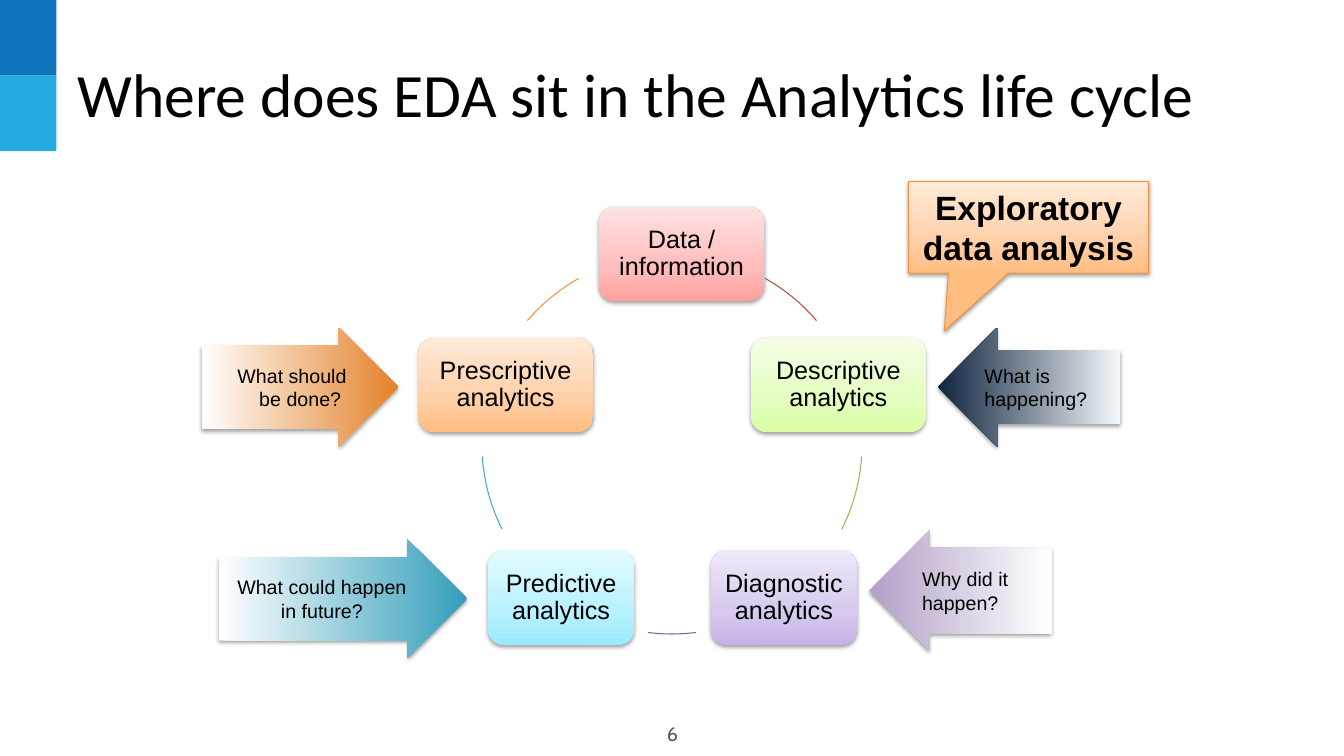
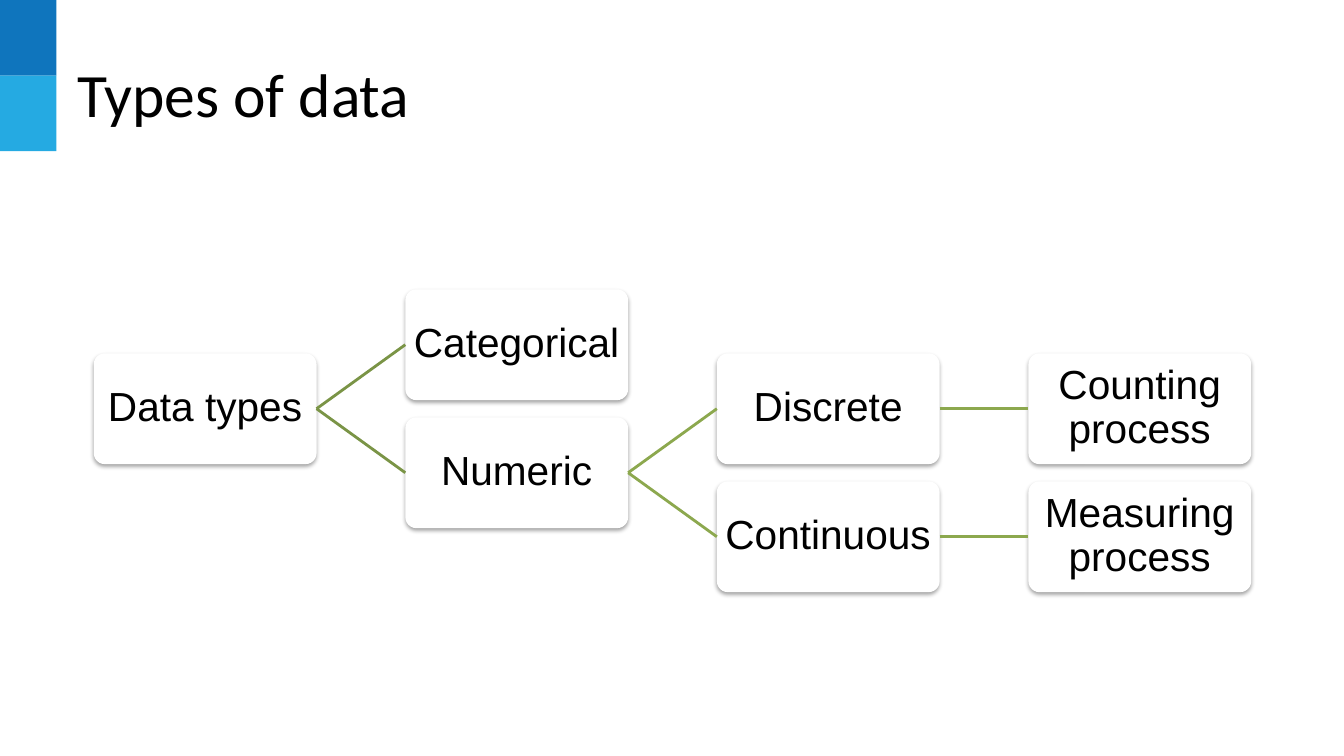
from lxml.etree import SubElement
from pptx import Presentation
from pptx.dml.color import RGBColor
from pptx.enum.shapes import MSO_CONNECTOR, MSO_SHAPE
from pptx.enum.text import MSO_ANCHOR as ANCHOR, PP_ALIGN as ALIGN
from pptx.oxml.ns import qn
from pptx.util import Inches, Pt

BLACK = RGBColor(0x00, 0x00, 0x00)
WHITE = RGBColor(0xFF, 0xFF, 0xFF)
GREY = RGBColor(0x59, 0x59, 0x59)
BLUE = RGBColor(0x0F, 0x75, 0xBD)
SKY = RGBColor(0x25, 0xAA, 0xE2)
ORANGE = RGBColor(0xF5, 0x91, 0x3F)
RED_ARC = RGBColor(0xBC, 0x4B, 0x48)
GREEN_ARC = RGBColor(0x97, 0xB8, 0x53)
PURPLE_ARC = RGBColor(0x7C, 0x5F, 0x9F)
TEAL_ARC = RGBColor(0x43, 0xA9, 0xC3)
OLIVE = RGBColor(0x7A, 0x94, 0x46)
MOSS = RGBColor(0x8C, 0xA8, 0x4E)
NAVY = RGBColor(0x0F, 0x24, 0x3E)
ICE = RGBColor(0xF4, 0xF8, 0xFB)
LILAC = RGBColor(0xB2, 0xA0, 0xC7)
TEAL = RGBColor(0x34, 0x9E, 0xBA)
AMBER = RGBColor(0xE3, 0x82, 0x29)

# Gradient colours from bottom to top
REDS = (RGBColor(0xFF, 0xA0, 0x9D), RGBColor(0xFF, 0xBC, 0xBC), RGBColor(0xFF, 0xE2, 0xE2))
GREENS = (RGBColor(0xDA, 0xFE, 0xA4), RGBColor(0xE3, 0xFE, 0xBF), RGBColor(0xF4, 0xFE, 0xE6))
PURPLES = (RGBColor(0xC8, 0xB2, 0xE9), RGBColor(0xD6, 0xCA, 0xED), RGBColor(0xEF, 0xE8, 0xFA))
TEALS = (RGBColor(0x99, 0xEA, 0xFF), RGBColor(0xB8, 0xF1, 0xFF), RGBColor(0xE2, 0xFB, 0xFF))
ORANGES = (RGBColor(0xFF, 0xBD, 0x80), RGBColor(0xFF, 0xCF, 0xA8), RGBColor(0xFF, 0xEB, 0xD9))


def draw(s, kind, at, fill=None, line=None, shadow=False, adj=()):
    """Add a preset shape; fill is a colour, or 2 (left to right) or 3 (upward) gradient colours."""
    sp = s.shapes.add_shape(kind, *map(Inches, at))
    for i, value in enumerate(adj):
        sp.adjustments[i] = value
    if fill is None:
        sp.fill.background()
    elif isinstance(fill, RGBColor):
        sp.fill.solid()
        sp.fill.fore_color.rgb = fill
    else:
        stops, angle = ((0, 100), 0) if len(fill) == 2 else ((0, 35, 100), 270)
        sp.fill.gradient()
        grad = sp._element.spPr.find(qn("a:gradFill"))
        sp.fill.gradient_angle = (360 - angle) % 360
        stop_list = grad.find(qn("a:gsLst"))
        for old in list(stop_list):
            stop_list.remove(old)
        for pos, color in zip(stops, fill):
            stop = SubElement(stop_list, qn("a:gs"), pos=str(pos * 1000))
            SubElement(stop, qn("a:srgbClr"), val=str(color))
    if line is None:
        sp.line.fill.background()
    else:
        sp.line.color.rgb = line
        sp.line.width = Pt(0.75)
    sp.shadow.inherit = False
    if shadow:
        effects = sp._element.spPr.find(qn("a:effectLst"))
        outer = SubElement(effects, qn("a:outerShdw"), blurRad=str(Pt(3.1)), dist=str(Pt(1.6)),
                           dir="5400000", rotWithShape="0")
        color = SubElement(outer, qn("a:srgbClr"), val=str(BLACK))
        SubElement(color, qn("a:alpha"), val="37000")
    return sp


def write(sp, text, size, font="Arial", color=BLACK, align=ALIGN.CENTER, anchor=ANCHOR.MIDDLE,
          inset=(0.1, 0.05), spacing=1.0, bold=False):
    tf = sp.text_frame
    across, down = map(Inches, inset)
    frame_format = {"word_wrap": True, "vertical_anchor": anchor, "margin_left": across,
                    "margin_right": across, "margin_top": down, "margin_bottom": down}
    for name, value in frame_format.items():
        setattr(tf, name, value)
    p = tf.paragraphs[0]
    p.alignment = align
    p.line_spacing = spacing
    r = p.add_run()
    r.text = text
    for name, value in {"name": font, "size": Pt(size), "bold": bold}.items():
        setattr(r.font, name, value)
    r.font.color.rgb = color


prs = Presentation()
prs.slide_width, prs.slide_height = Inches(13.33), Inches(7.5)

# Shared bands and titles
for title in ("Where does EDA sit in the Analytics life cycle", "Types of data"):
    s = prs.slides.add_slide(prs.slide_layouts[6])
    for i, color in enumerate((BLUE, SKY)):
        draw(s, MSO_SHAPE.RECTANGLE, (0, 0.75 * i, 0.56, 0.75), color)
    box = s.shapes.add_textbox(Inches(0.67), Inches(0.3), Inches(12), Inches(1.25))
    write(box, title, 44, font="Calibri", align=ALIGN.LEFT)
cycle_slide, types_slide = prs.slides

# Analytics life cycle
s = cycle_slide
page = s.shapes.add_textbox(Inches(4.56), Inches(7.08), Inches(4.22), Inches(0.4))
write(page, "6", 14, font="Cabin", color=GREY)

# Text, left, top, width, gradient, arc colour, arc start and end in degrees
stages = [
    ("Data / information", 5.94, 2.05, 1.64, REDS, RED_ARC, 299.4, 319.5),
    ("Descriptive analytics", 7.45, 3.35, 1.73, GREENS, GREEN_ARC, 3.8, 26.6),
    ("Diagnostic analytics", 7.05, 5.46, 1.45, PURPLES, PURPLE_ARC, 82.8, 97.2),
    ("Predictive analytics", 4.84, 5.46, 1.45, TEALS, TEAL_ARC, 153.4, 176.2),
    ("Prescriptive analytics", 4.15, 3.35, 1.73, ORANGES, ORANGE, 220.5, 240.6),
]
for text, x, y, w, gradient, arc_color, start, end in stages:
    sp = draw(s, MSO_SHAPE.ROUNDED_RECTANGLE, (x, y, w, 0.94), gradient, shadow=True)
    write(sp, text, 18, inset=(0.07, 0.07), spacing=0.9)
    # An arc counts 60000 units a degree, an adjustment 100000 units
    draw(s, MSO_SHAPE.ARC, (4.78, 2.52, 3.77, 3.77), line=arc_color,
         adj=(start * 0.6, end * 0.6))

LEFT, RIGHT = MSO_SHAPE.LEFT_ARROW, MSO_SHAPE.RIGHT_ARROW
questions = [
    ("What is happening?", LEFT, (9.3, 3.25, 1.81, 1.18), 0.62, (NAVY, ICE), ALIGN.LEFT),
    ("Why did it happen?", LEFT, (8.62, 5.26, 1.81, 1.2), 0.71, (LILAC, WHITE), ALIGN.LEFT),
    ("What could happen in future?", RIGHT, (2.17, 5.35, 2.46, 1.18), 0.7, (WHITE, TEAL),
     ALIGN.CENTER),
    ("What should be done? ", RIGHT, (2, 3.25, 1.95, 1.18), 0.7, (WHITE, AMBER), ALIGN.RIGHT),
]
for text, kind, at, shaft, gradient, align in questions:
    sp = draw(s, kind, at, gradient, shadow=True, adj=(shaft, 0.5))
    write(sp, text, 14, align=align)

callout = draw(s, MSO_SHAPE.RECTANGULAR_CALLOUT, (9.01, 1.8, 2.38, 0.91), ORANGES, ORANGE,
               shadow=True, adj=(-0.35, 1.13))
write(callout, "Exploratory data analysis", 24, anchor=ANCHOR.TOP, bold=True)

# Tree of data types: text, column, row, parent, line colour
s = types_slide
nodes = [
    ("Data types", 0, 0.5, None, None),
    ("Categorical", 1, 0, "Data types", OLIVE),
    ("Numeric", 1, 1, "Data types", OLIVE),
    ("Discrete", 2, 0.5, "Numeric", MOSS),
    ("Counting process", 3, 0.5, "Discrete", MOSS),
    ("Continuous", 2, 1.5, "Numeric", MOSS),
    ("Measuring process", 3, 1.5, "Continuous", MOSS),
]
boxes = {}
for text, col, row, parent, color in nodes:
    at = (0.93 + 3.09 * col, 2.87 + 1.27 * row, 2.21, 1.1)
    sp = draw(s, MSO_SHAPE.ROUNDED_RECTANGLE, at, WHITE, shadow=True, adj=(0.1,))
    write(sp, text, 29, inset=(0.02, 0.02), spacing=0.9)
    boxes[text] = sp
    if parent:
        link = s.shapes.add_connector(MSO_CONNECTOR.STRAIGHT, 0, 0, 0, 0)
        link.begin_connect(boxes[parent], 3)
        link.end_connect(sp, 1)
        link.line.color.rgb = color
        link.line.width = Pt(2)
        SubElement(link._element.spPr, qn("a:effectLst"))

prs.save("out.pptx")
